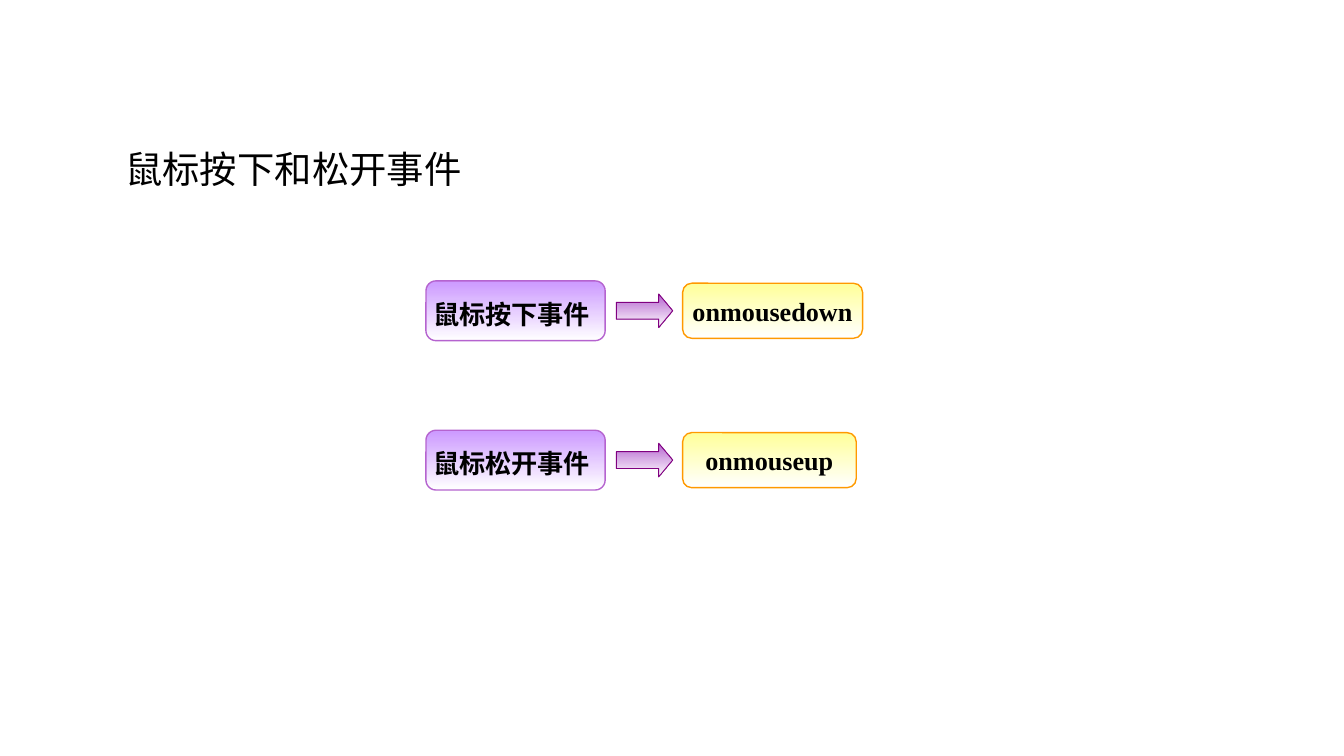
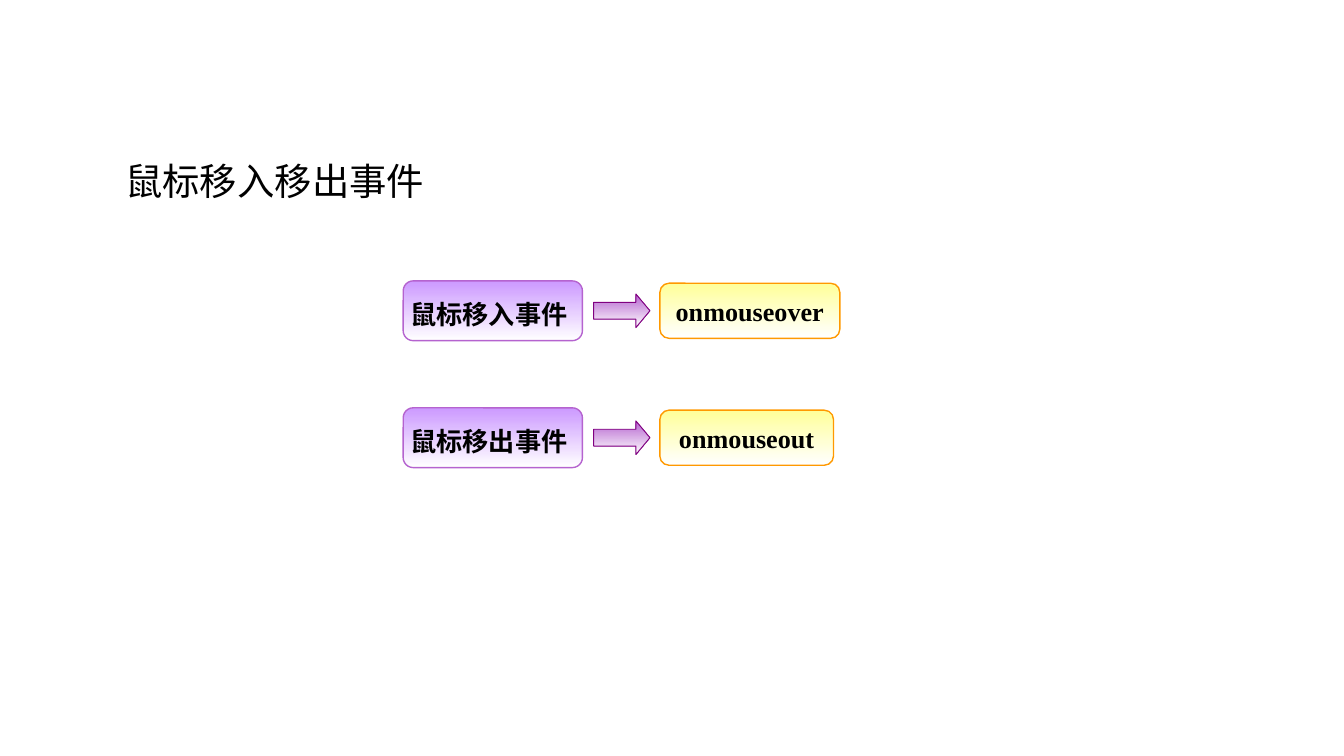
from dataclasses import dataclass

from pptx import Presentation
from pptx.dml.color import RGBColor
from pptx.enum.shapes import MSO_SHAPE
from pptx.enum.text import MSO_ANCHOR, MSO_AUTO_SIZE, PP_ALIGN
from pptx.util import Pt


@dataclass(frozen=True)
class Theme:
    text: str = "000000"
    fade: str = "FFFFFF"
    label_fill: str = "CC99FF"
    label_line: str = "B563CF"
    handler_fill: str = "FFFF99"
    handler_line: str = "FF9900"
    arrow_fill: str = "B563CF"
    arrow_line: str = "800080"
    font: str = "Times New Roman"
    space_font: str = "Arial"
    title_size: int = 20
    box_size: int = 14
    space_size: int = 18


THEME = Theme()


def add_run(paragraph, text, size, bold=False, name=THEME.font):
    run = paragraph.add_run()
    run.text = text
    for attribute, value in {"size": Pt(size), "bold": bold, "name": name}.items():
        setattr(run.font, attribute, value)
    run.font.color.rgb = RGBColor.from_string(THEME.text)


def add_gradient_shape(slide, kind, box, adjustments, fill, line, line_width):
    """Add a shape that fades downwards from its fill colour; box is in points."""
    shape = slide.shapes.add_shape(kind, *map(Pt, box))
    shape.shadow.inherit = False
    for index, value in enumerate(adjustments):
        shape.adjustments[index] = value
    shape.fill.gradient()
    shape.fill.gradient_angle = 270
    for stop, color in zip(shape.fill.gradient_stops, (fill, THEME.fade)):
        stop.color.rgb = RGBColor.from_string(color)
    shape.line.color.rgb = RGBColor.from_string(line)
    shape.line.width = Pt(line_width)
    return shape


SLIDES = [
    {"title": "鼠标按下和松开事件", "title_top": 74.7, "left": 228.2, "row_pitch": 80,
     "events": [("鼠标按下事件", "onmousedown"), ("鼠标松开事件", "onmouseup")]},
    {"title": "鼠标移入移出事件", "title_top": 81.2, "left": 216, "row_pitch": 68,
     "events": [("鼠标移入事件", "onmouseover"), ("鼠标移出事件", "onmouseout")]},
]
FIRST_MIDDLE = 166.5
LABEL_WIDTH, LABEL_HEIGHT = 96, 32
ARROW_OFFSET, ARROW_WIDTH, ARROW_HEIGHT = 102, 30.2, 18
HANDLER_OFFSET, HANDLER_HEIGHT = 137.5, 29.5
HANDLER_WIDTHS = (96.4, 93)
CORNER = [0.167]

presentation = Presentation()
presentation.slide_width = Pt(720)
presentation.slide_height = Pt(405)

for content in SLIDES:
    slide = presentation.slides.add_slide(presentation.slide_layouts[6])
    title = slide.shapes.add_textbox(Pt(60), Pt(content["title_top"]), Pt(258), Pt(31.5))
    title.text_frame.word_wrap = True
    title.text_frame.auto_size = MSO_AUTO_SIZE.SHAPE_TO_FIT_TEXT
    add_run(title.text_frame.paragraphs[0], content["title"], THEME.title_size)

    left = content["left"]
    for row, (event, handler) in enumerate(content["events"]):
        middle = FIRST_MIDDLE + row * content["row_pitch"]
        label_shape = add_gradient_shape(
            slide, MSO_SHAPE.ROUNDED_RECTANGLE,
            (left, middle - LABEL_HEIGHT / 2, LABEL_WIDTH, LABEL_HEIGHT),
            CORNER, THEME.label_fill, THEME.label_line, 0.75)
        handler_shape = add_gradient_shape(
            slide, MSO_SHAPE.ROUNDED_RECTANGLE,
            (left + HANDLER_OFFSET, middle - HANDLER_HEIGHT / 2,
             HANDLER_WIDTHS[row], HANDLER_HEIGHT),
            CORNER, THEME.handler_fill, THEME.handler_line, 0.75)
        add_gradient_shape(
            slide, MSO_SHAPE.RIGHT_ARROW,
            (left + ARROW_OFFSET, middle - ARROW_HEIGHT / 2, ARROW_WIDTH, ARROW_HEIGHT),
            [0.5, 0.417], THEME.arrow_fill, THEME.arrow_line, 0.5)

        for shape, text in ((label_shape, event), (handler_shape, handler)):
            shape.text_frame.word_wrap = False
            shape.text_frame.vertical_anchor = MSO_ANCHOR.MIDDLE
            paragraph = shape.text_frame.paragraphs[0]
            paragraph.alignment = PP_ALIGN.CENTER
            add_run(paragraph, text, THEME.box_size, bold=True)
        add_run(label_shape.text_frame.paragraphs[0], " ", THEME.space_size,
                bold=True, name=THEME.space_font)

presentation.save("out.pptx")
